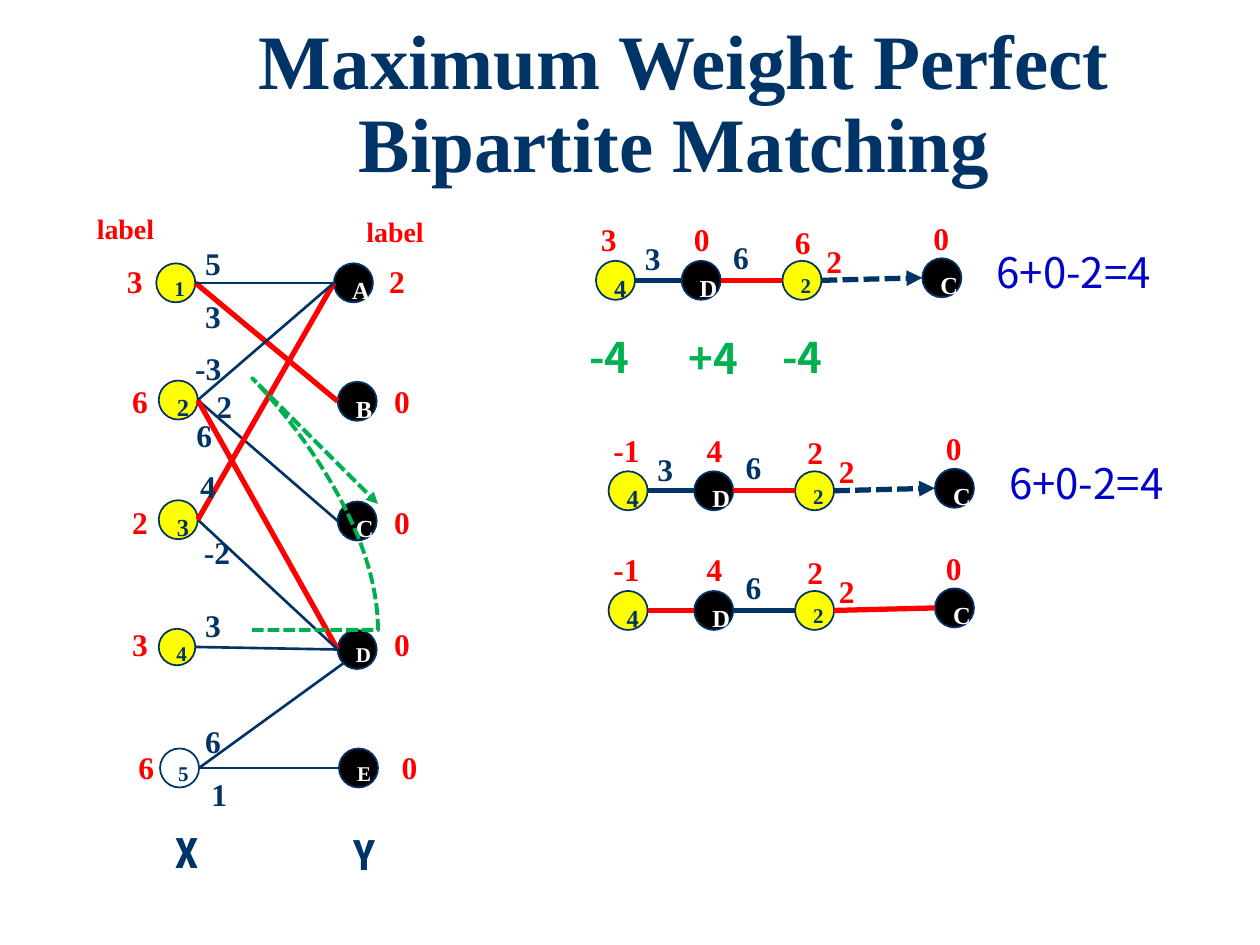
"""Build the slide on maximum weight perfect bipartite matching."""
from lxml.etree import SubElement
from pptx import Presentation
from pptx.dml.color import RGBColor
from pptx.enum.dml import MSO_LINE_DASH_STYLE as DASH
from pptx.enum.shapes import MSO_CONNECTOR as LINK, MSO_SHAPE as SHAPE
from pptx.enum.text import MSO_ANCHOR as ANCHOR, MSO_AUTO_SIZE as FIT, PP_ALIGN as ALIGN
from pptx.oxml.ns import qn
from pptx.util import Inches, Pt

NAVY, RED, GREEN, BLUE = "003366", "FF0000", "00B050", "0000CC"
YELLOW, BLACK, WHITE = "FFFF00", "000000", "FFFFFF"
SERIF, SANS, CONDENSED = "Times New Roman", "Noto Sans CJK KR", "Roboto Condensed"
NODE = 0.31

TITLE = "Maximum Weight Perfect Bipartite Matching "
# name, left, top, diameter, text size, fill, label, label left
X_SIDE = [
    ("1", 1.24, 2.09, NODE, 12, YELLOW, "3", 0.91),
    ("2", 1.26, 3.02, NODE, 14, YELLOW, "6", 0.95),
    ("3", 1.26, 3.97, NODE, 14, YELLOW, "2", 0.95),
    ("4", 1.26, 4.99, 0.29, 12, YELLOW, "3", 0.95),
    ("5", 1.27, 5.94, NODE, 12, WHITE, "6", 1.0),
]
Y_SIDE = [
    ("A", 2.65, 2.09, NODE, 14, BLACK, "2", 2.99),
    ("B", 2.68, 3.03, NODE, 14, BLACK, "0", 3.03),
    ("C", 2.68, 3.98, NODE, 14, BLACK, "0", 3.03),
    ("D", 2.68, 5.0, NODE, 12, BLACK, "0", 3.03),
    ("E", 2.69, 5.94, NODE, 12, BLACK, "0", 3.09),
]
LABEL_TOPS = [2.03, 2.98, 3.94, 4.91, 5.89]
MATCHED = {"1B", "2D", "3A"}
EDGES = [
    ("1B", "3", 1.53, 2.31), ("2C", "2", 1.62, 3.02), ("2D", "6", 1.46, 3.25),
    ("3D", "-2", 1.52, 4.18), ("3A", "4", 1.49, 3.66), ("4D", "3", 1.53, 4.76),
    ("5D", "6", 1.53, 5.68), ("5E", "1", 1.58, 6.1), ("1A", "5", 1.53, 1.89),
    ("2A", "-3", 1.45, 2.72),
]
CAPTIONS = [
    ("label", 0.67, 1.63, 0.66, 0.37, SERIF, 16, RED, True),
    ("label", 2.81, 1.65, 0.66, 0.37, SERIF, 16, RED, True),
    ("X", 1.29, 6.51, 0.4, 0.5, CONDENSED, 24, NAVY, True),
    ("Y", 2.7, 6.53, 0.39, 0.5, CONDENSED, 24, NAVY, True),
    ("-4", 6.11, 2.58, 0.67, 0.5, SANS, 24, GREEN, True),
    ("+4", 5.37, 2.59, 0.6, 0.5, SANS, 24, GREEN, True),
    ("-4", 4.58, 2.58, 0.67, 0.5, SANS, 24, GREEN, True),
]
AUGMENTING_PATH = [
    (1.58, 5.22), (2.01, 5.26), (2.44, 5.3), (2.61, 5.23), (2.79, 5.17), (2.77, 5.18),
    (2.64, 4.82), (2.51, 4.47), (1.8, 3.26), (1.83, 3.11), (1.86, 2.96), (2.34, 3.43),
    (2.81, 3.91),
]

CHAIN_NODES = [("4", 4.73, 2.07, 14, YELLOW), ("D", 5.41, 2.07, 14, BLACK),
               ("2", 6.21, 2.07, 12, YELLOW), ("C", 7.32, 2.05, 14, BLACK)]
CHAIN_LABELS = [(4.67, 1.7), (5.41, 1.7), (6.21, 1.72), (7.31, 1.69)]
CHAIN_WEIGHTS = [(5.02, 1.85), (5.72, 1.84), (6.46, 1.87)]
CHAINS = [
    dict(shift=(0, 0), labels=["3", "0", "6", "0"], weights=["3", "6", "2"],
         colors=[NAVY, RED, NAVY], dashed=True, slack="6+0-2=4"),
    dict(shift=(0.1, 1.67), labels=["-1", "4", "2", "0"], weights=["3", "6", "2"],
         colors=[NAVY, RED, NAVY], dashed=True, slack="6+0-2=4"),
    dict(shift=(0.1, 2.62), labels=["-1", "4", "2", "0"], weights=["", "6", "2"],
         colors=[RED, NAVY, RED], dashed=False, slack=""),
]

prs = Presentation()
prs.slide_width, prs.slide_height = Inches(10), Inches(7.5)
shapes = prs.slides.add_slide(prs.slide_layouts[6]).shapes


def rgb(value):
    """Turn a hex string into a colour."""
    return RGBColor.from_string(value)


def assign(target, values):
    """Set each named attribute on the target."""
    for key, value in values.items():
        setattr(target, key, value)


def write(shape, text, font, size, color, bold=True, **frame):
    """Put one formatted paragraph into a shape."""
    assign(shape.text_frame, {"word_wrap": False, "vertical_anchor": ANCHOR.TOP, **frame})
    paragraph = shape.text_frame.paragraphs[0]
    paragraph.alignment = ALIGN.LEFT
    run = paragraph.add_run()
    run.text = text
    assign(run.font, {"name": font, "size": Pt(size), "bold": bold})
    run.font.color.rgb = rgb(color)
    return paragraph


def add_text(text, left, top, width, height, font, size, color, bold=True):
    """Add a text box that fits its single line."""
    box = shapes.add_textbox(*map(Inches, (left, top, width, height)))
    write(box, text, font, size, color, bold, auto_size=FIT.SHAPE_TO_FIT_TEXT)


def add_number(text, left, top, color):
    """Add a weight or a vertex label."""
    add_text(text, left, top, 0.33 if len(text) == 1 else 0.41, 0.4, SERIF, 18, color)


def add_node(name, left, top, diameter, size, fill):
    """Add a round vertex with its name."""
    node = shapes.add_shape(SHAPE.OVAL, *map(Inches, (left, top, diameter, diameter)))
    node.shadow.inherit = False
    node.fill.solid()
    node.fill.fore_color.rgb = rgb(fill)
    node.line.color.rgb, node.line.width = rgb(NAVY), Pt(1)
    write(node, name, SERIF, size, WHITE if fill == BLACK else NAVY)


def style_line(shape, color, width, dashed=False, arrow=False):
    """Give a line its colour, width, dashes and arrowhead."""
    line = shape.line
    line.color.rgb, line.width = rgb(color), Pt(width)
    if dashed:
        line.dash_style = DASH.SQUARE_DOT
    if arrow:
        SubElement(line._get_or_add_ln(), qn("a:tailEnd"), type="triangle")


def add_edge(start, end, *style):
    """Add a straight edge between two points."""
    edge = shapes.add_connector(LINK.STRAIGHT, *map(Inches, (*start, *end)))
    style_line(edge, *style)
    SubElement(edge._element.spPr, qn("a:effectLst"))


def add_curve(points, *style):
    """Add an open curve through cubic Bezier points."""
    builder = shapes.build_freeform(*points[0], scale=Inches(1) / 1.0)
    builder.add_line_segments(points[1:], close=False)
    curve = builder.convert_to_shape()
    curve.shadow.inherit = False
    curve.fill.background()
    outline = next(curve._element.iter(qn("a:path")))
    steps = outline.findall(qn("a:lnTo"))
    for first in range(0, len(steps), 3):
        bezier = SubElement(outline, qn("a:cubicBezTo"))
        for step in steps[first:first + 3]:
            bezier.append(step[0])
            outline.remove(step)
    style_line(curve, *style)


def add_graph():
    """Draw the labelled bipartite graph."""
    ports = {}
    for side, reach in ((X_SIDE, 1), (Y_SIDE, 0)):
        for (name, left, top, diameter, size, fill, label, label_left), label_top in zip(side, LABEL_TOPS):
            add_node(name, left, top, diameter, size, fill)
            add_number(label, label_left, label_top, RED)
            ports[name] = (left + reach * diameter, top + diameter / 2)
    for ends, weight, left, top in EDGES:
        start, end = (ports[name] for name in ends)
        if ends == "5D":
            end = (end[0] + 0.15 * NODE, end[1] + 0.35 * NODE)
        add_edge(start, end, *((RED, 3) if ends in MATCHED else (NAVY, 1.5)))
        add_number(weight, left, top, NAVY)


def add_chain(shift, labels, weights, colors, dashed, slack):
    """Draw one alternating path with its labels."""
    dx, dy = shift
    for (name, left, top, size, fill), label, (label_left, label_top) in zip(CHAIN_NODES, labels, CHAIN_LABELS):
        add_node(name, left + dx, top + dy, NODE, size, fill)
        add_number(label, label_left + dx, label_top + dy, RED)
    links = zip(CHAIN_NODES, CHAIN_NODES[1:], colors, weights, CHAIN_WEIGHTS)
    for index, (source, target, color, weight, (left, top)) in enumerate(links):
        last = index == 2
        start = (source[1] + NODE + dx, source[2] + NODE / 2 + dy)
        end = (target[1] + dx, target[2] + NODE / 2 + dy)
        add_edge(start, end, color, 3, last and dashed, last and dashed)
        if weight:
            add_number(weight, left + dx, top + dy, RED if last else NAVY)
    if slack:
        add_text(slack, 7.81 + dx, 1.91 + dy, 1.69, 0.5, SANS, 24, BLUE, False)


title = shapes.add_textbox(*map(Inches, (1.43, 0.13, 8, 0.92)))
assign(write(title, TITLE, SERIF, 44, NAVY, word_wrap=True),
       {"alignment": ALIGN.CENTER, "line_spacing": 0.9})
add_graph()
for caption in CAPTIONS:
    add_text(*caption)
add_curve(AUGMENTING_PATH, GREEN, 2.25, True, True)
for chain in CHAINS:
    add_chain(**chain)
prs.save("out.pptx")
